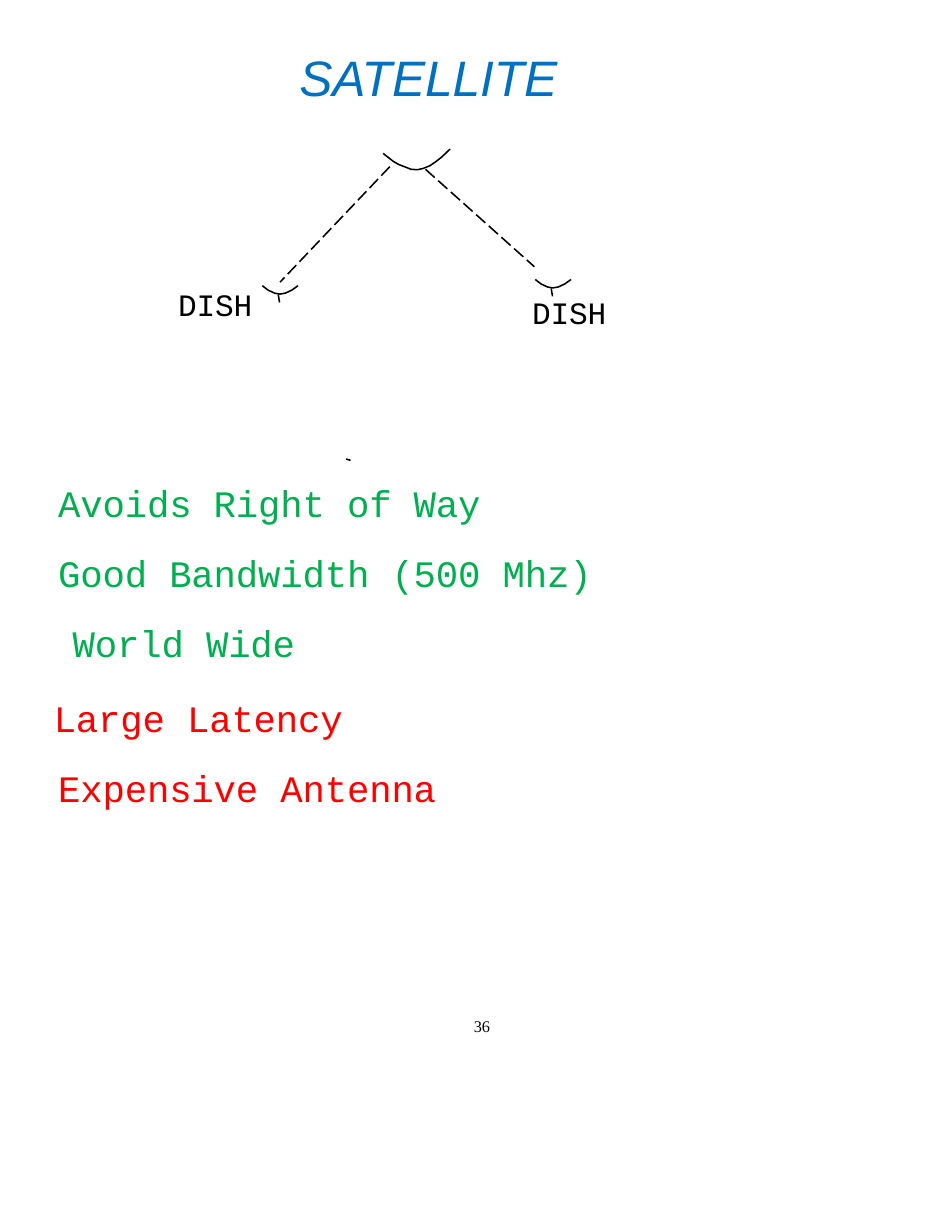
from pptx import Presentation
from pptx.dml.color import RGBColor
from pptx.enum.dml import MSO_LINE
from pptx.enum.shapes import MSO_CONNECTOR
from pptx.oxml.ns import qn
from pptx.util import Cm, Pt
from lxml import etree

BLACK = RGBColor(0, 0, 0)
BLUE = RGBColor(0x00, 0x70, 0xC0)
GREEN = RGBColor(0x00, 0xB0, 0x50)
RED = RGBColor(0xFF, 0, 0)

SATELLITE_CURVE = [
    (8.69, 3.48), (8.92, 3.66), (9.04, 3.73), (9.17, 3.78), (9.32, 3.84), (9.47, 3.85),
    (9.6, 3.82), (9.75, 3.76), (9.88, 3.67), (10.01, 3.57), (10.21, 3.38),
]
# Offsets from the left rim of a dish
DISH_CURVE = [(0, 0), (0.13, 0.1), (0.28, 0.17), (0.4, 0.19), (0.52, 0.17), (0.67, 0.1), (0.81, 0)]

# Text, colour, left margin and first-line indent in cm, space before in points
POINTS = [
    ("Avoids Right of Way", GREEN, 0.03, 0.17, 0),
    ("Good Bandwidth (500 Mhz)", GREEN, 0.03, 0.17, 0),
    ("World Wide", GREEN, 0.53, 0, 0),
    ("Large Latency", RED, 0.2, -0.1, 3),
    ("Expensive Antenna", RED, 0.2, 0, 0),
]


def add_box(slide, left, top, width, height, inset_top=0):
    frame = slide.shapes.add_textbox(Cm(left), Cm(top), Cm(width), Cm(height)).text_frame
    frame.word_wrap = True
    frame.margin_left = frame.margin_right = frame.margin_bottom = 0
    frame.margin_top = Cm(inset_top)
    return frame


def write(paragraph, text, font, size, color, margin=0.03, indent=0, italic=False):
    paragraph.text = text
    properties = paragraph._p.get_or_add_pPr()
    properties.set("marL", str(Cm(margin)))
    properties.set("indent", str(Cm(indent)))
    run = paragraph.runs[0]
    run.font.name = font
    run.font.size = Pt(size)
    run.font.color.rgb = color
    run.font.italic = italic
    run._r.get_or_add_rPr().set("spc", "-10")


def add_curve(slide, points):
    x, y = points[0]
    builder = slide.shapes.build_freeform(Cm(x), Cm(y))
    builder.add_line_segments([(Cm(px), Cm(py)) for px, py in points[1:]], close=False)
    curve = builder.convert_to_shape()
    curve.shadow.inherit = False
    curve.fill.background()
    curve.line.color.rgb = BLACK
    curve.line.width = Pt(1)


def add_line(slide, x1, y1, x2, y2, dashed=False):
    line = slide.shapes.add_connector(MSO_CONNECTOR.STRAIGHT, Cm(x1), Cm(y1), Cm(x2), Cm(y2))
    line.line.color.rgb = BLACK
    line.line.width = Pt(1)
    if dashed:
        line.line.dash_style = MSO_LINE.LONG_DASH
    etree.SubElement(line._element.spPr, qn("a:effectLst"))


def add_dish(slide, left, top):
    add_curve(slide, [(left + dx, top + dy) for dx, dy in DISH_CURVE])
    add_line(slide, left + 0.36, top + 0.2, left + 0.39, top + 0.38)


def add_points(slide):
    frame = add_box(slide, 1.12, 10.19, 19.41, 8.79, inset_top=0.13)
    for number, (text, color, margin, indent, before) in enumerate(POINTS):
        paragraph = frame.add_paragraph() if number else frame.paragraphs[0]
        write(paragraph, text, "Courier New", 24, color, margin, indent)
        paragraph.line_spacing = Pt(45)
        if before:
            paragraph.space_before = Pt(before)


def main():
    presentation = Presentation()
    presentation.slide_width = Cm(21.59)
    presentation.slide_height = Cm(27.94)
    slide = presentation.slides.add_slide(presentation.slide_layouts[6])

    # Title
    title = add_box(slide, 6.76, 1.07, 7.16, 1.37)
    write(title.paragraphs[0], "SATELLITE", "Arial", 32, BLUE, italic=True)

    # Satellite and ground dishes
    add_curve(slide, SATELLITE_CURVE)
    for left, top, width in ((4.01, 6.48, 3.02), (12.04, 6.65, 2.36)):
        label = add_box(slide, left, top, width, 0.86)
        write(label.paragraphs[0], "DISH", "Courier New", 20, BLACK)
    for left, top in ((5.95, 6.48), (12.14, 6.34)):
        add_dish(slide, left, top)

    # Radio links and the stray dash below them
    for ends in ((8.84, 3.78, 6.35, 6.4), (9.65, 3.84, 12.12, 6.05), (7.85, 10.41, 7.95, 10.44)):
        add_line(slide, *ends, dashed=True)

    # Benefits and drawbacks
    add_points(slide)

    # Page number
    page = add_box(slide, 10.67, 23.01, 0.53, 0.46, inset_top=0.05).paragraphs[0]
    write(page, "36", "Times New Roman", 10.5, BLACK, margin=0.08)
    page.line_spacing = Pt(12.3)

    presentation.save("out.pptx")


if __name__ == "__main__":
    main()
